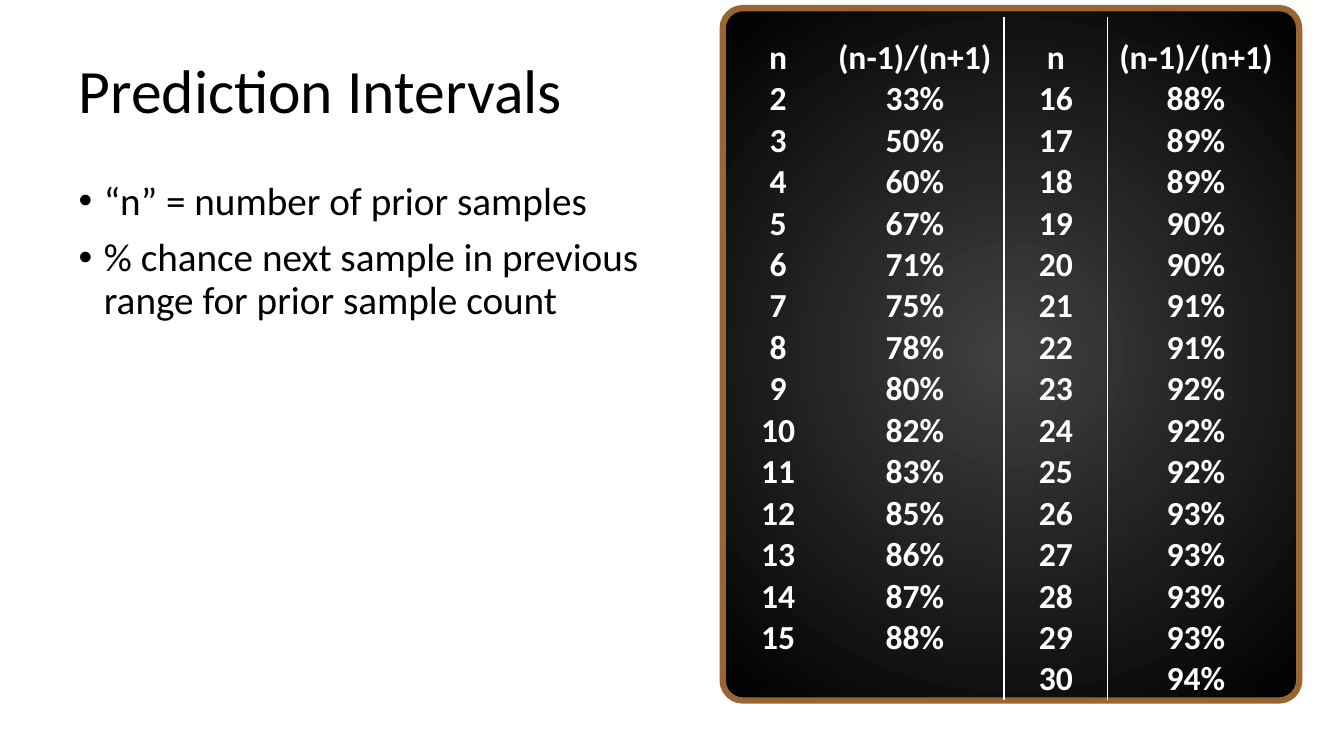
import pptx
import pptx.util
import pptx.dml.color
import pptx.enum.shapes
import pptx.enum.text
import pptx.oxml
import pptx.oxml.ns

COLORS = {"text": "000000", "chalk": "FFFFFF", "frame": "996633",
          "board_center": "404040", "board_edge": "000000"}
FONT = "Calibri"
NAMESPACE = pptx.oxml.ns.nsdecls("a")

# Slide grid: 96 columns by 54 rows of square units
presentation = pptx.Presentation()
presentation.slide_width = pptx.util.Inches(13.333)
presentation.slide_height = pptx.util.Inches(7.5)
UNIT = presentation.slide_height / 54
slide = presentation.slides.add_slide(presentation.slide_layouts[1])


def grid(*units):
    return [round(UNIT * value) for value in units]


def style(paragraph, size, color, bold=False):
    paragraph.font.name = FONT
    paragraph.font.size = pptx.util.Pt(size)
    paragraph.font.bold = bold
    paragraph.font.color.rgb = pptx.dml.color.RGBColor.from_string(COLORS[color])


# Blackboard with a radial gradient
board = slide.shapes.add_shape(pptx.enum.shapes.MSO_SHAPE.ROUNDED_RECTANGLE,
                               *grid(51.62, 0.58, 41.18, 49.46))
board.adjustments[0] = 0.035
board.shadow.inherit = False
board.line.color.rgb = pptx.dml.color.RGBColor.from_string(COLORS["frame"])
board.line.width = pptx.util.Pt(4.5)
board.fill.gradient()
for stop, position, color in zip(board.fill.gradient_stops, (0, 1), ("board_center", "board_edge")):
    stop.position = position
    stop.color.rgb = pptx.dml.color.RGBColor.from_string(COLORS[color])
gradient = board._element.spPr.find(pptx.oxml.ns.qn("a:gradFill"))
gradient.replace(gradient.find(pptx.oxml.ns.qn("a:lin")), pptx.oxml.parse_xml(
    f'<a:path {NAMESPACE} path="circle">'
    '<a:fillToRect l="50000" t="50000" r="50000" b="50000"/></a:path>'))

# Title
title = slide.shapes.title
title.left, title.top, title.width, title.height = grid(4.9, 2.16, 45.5, 9)
title.text_frame.text = "Prediction Intervals"
title.text_frame.vertical_anchor = pptx.enum.text.MSO_ANCHOR.MIDDLE
title.text_frame.auto_size = pptx.enum.text.MSO_AUTO_SIZE.NONE
heading = title.text_frame.paragraphs[0]
heading.alignment = pptx.enum.text.PP_ALIGN.LEFT
heading.line_spacing = 0.9
style(heading, 44, "text")

# Bulleted explanation
body = slide.placeholders[1]
body.left, body.top, body.width, body.height = grid(4.9, 12.6, 43.06, 35.64)
body.text_frame.text = ("“n” = number of prior samples\n"
                        "% chance next sample in previous range for prior sample count")
body.text_frame.auto_size = pptx.enum.text.MSO_AUTO_SIZE.NONE
for index, paragraph in enumerate(body.text_frame.paragraphs):
    paragraph.line_spacing = 0.9
    paragraph.space_before = pptx.util.Pt(10 if index else 0)
    properties = paragraph._p.get_or_add_pPr()
    properties.set("marL", str(pptx.util.Inches(0.25)))
    properties.set("indent", str(pptx.util.Inches(-0.25)))
    properties.append(pptx.oxml.parse_xml(f'<a:buFont {NAMESPACE} typeface="Arial"/>'))
    properties.append(pptx.oxml.parse_xml(f'<a:buChar {NAMESPACE} char="•"/>'))
    style(paragraph, 28, "text")

# Table values: n from 2 to 15 on the left, 16 to 30 on the right
header = ["n", "(n-1)/(n+1)"]
chances = {n: [str(n), f"{(n - 1) / (n + 1):.0%}"] for n in range(2, 31)}
rows = [header * 2]
for n in range(2, 17):
    left_half = chances[n] if n < 16 else ["", ""]
    rows.append(left_half + chances[n + 14])

# Table on the board
table = slide.shapes.add_table(len(rows), 4, *grid(52.2, 1.22, 39.53, 48.79)).table
table.first_row = table.horz_banding = False
NO_STYLE = "{2D5ABB26-0587-4C30-8999-92F81FD0307C}"
table._tbl.tblPr.find(pptx.oxml.ns.qn("a:tableStyleId")).text = NO_STYLE
for column, width in zip(table.columns, grid(6.77, 12.74, 7.42, 12.6)):
    column.width = width
for row, height in zip(table.rows, grid(4.39, *[2.96] * 15)):
    row.height = height

DIVIDER_SIDES = {1: "lnR", 2: "lnL"}
for row, values in zip(table.rows, rows):
    for index, (cell, value) in enumerate(zip(row.cells, values)):
        cell.text_frame.text = value
        cell.vertical_anchor = pptx.enum.text.MSO_ANCHOR.BOTTOM
        cell.margin_left = cell.margin_right = cell.margin_top = cell.margin_bottom = 0
        cell.fill.background()
        paragraph = cell.text_frame.paragraphs[0]
        paragraph.alignment = pptx.enum.text.PP_ALIGN.CENTER
        style(paragraph, 24, "chalk", bold=True)
        if index in DIVIDER_SIDES:
            side = DIVIDER_SIDES[index]
            cell._tc.get_or_add_tcPr().insert(0, pptx.oxml.parse_xml(
                f'<a:{side} {NAMESPACE} w="{pptx.util.Pt(1)}"><a:solidFill>'
                f'<a:srgbClr val="{COLORS["chalk"]}"/></a:solidFill></a:{side}>'))

presentation.save("out.pptx")
